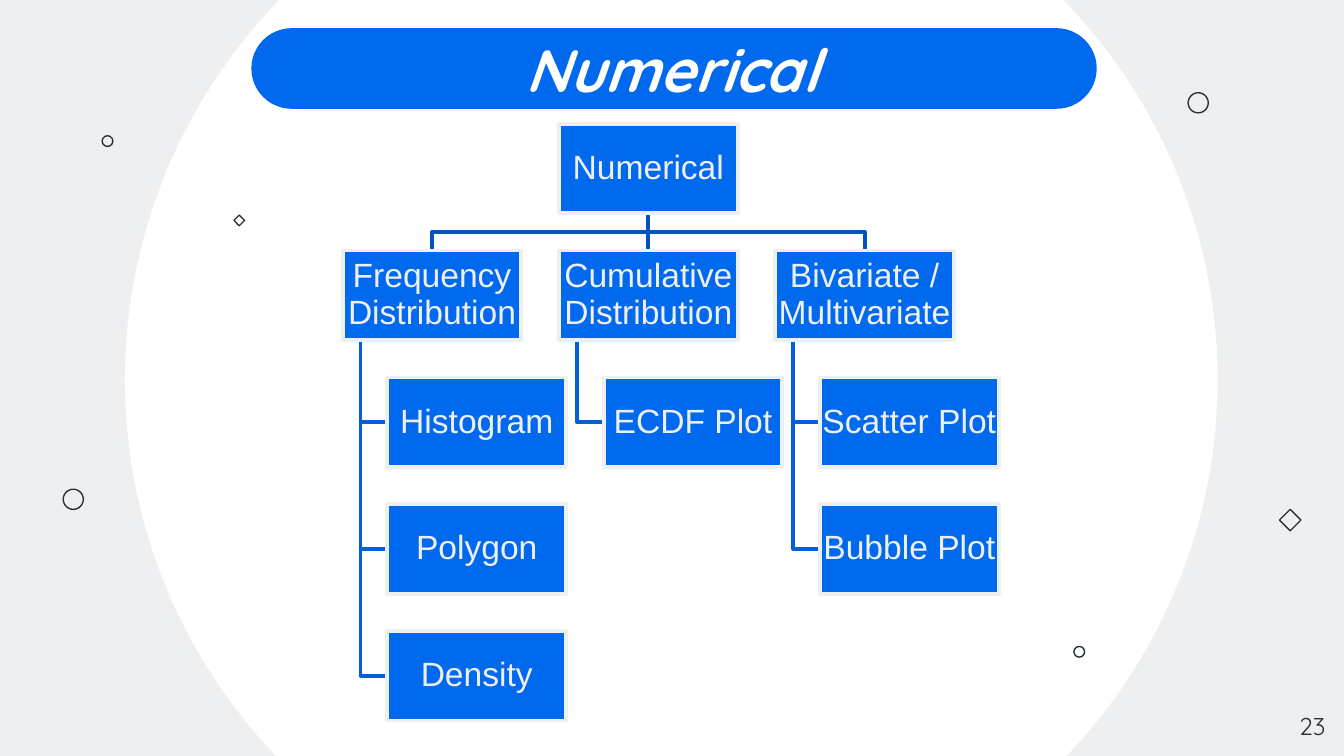
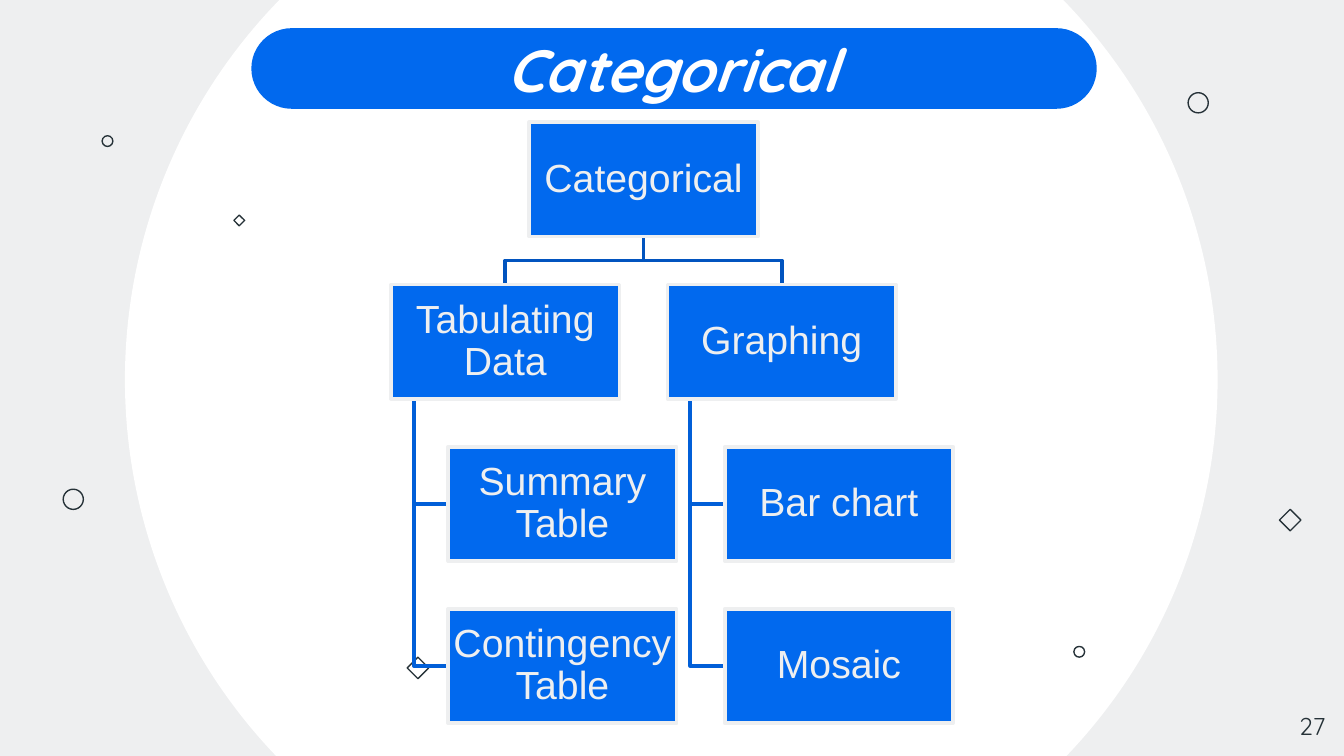
from dataclasses import dataclass

from lxml import etree
from pptx import Presentation
from pptx.dml.color import RGBColor
from pptx.enum.shapes import MSO_CONNECTOR, MSO_SHAPE
from pptx.enum.text import MSO_ANCHOR, PP_ALIGN
from pptx.oxml.ns import qn
from pptx.util import Inches, Pt

OVAL = MSO_SHAPE.OVAL
DIAMOND = MSO_SHAPE.DIAMOND
PILL = MSO_SHAPE.ROUNDED_RECTANGLE
RECT = MSO_SHAPE.RECTANGLE
STRAIGHT = MSO_CONNECTOR.STRAIGHT
MIDDLE, TOP = MSO_ANCHOR.MIDDLE, MSO_ANCHOR.TOP
CENTER, RIGHT = PP_ALIGN.CENTER, PP_ALIGN.RIGHT


@dataclass(frozen=True)
class Theme:
    pale: str = "EEEFF0"
    white: str = "FFFFFF"
    blue: str = "0169EE"
    fork: str = "0154BF"
    twig: str = "015FD8"
    ink: str = "263238"
    head: str = "Quicksand"
    body: str = "Arial"
    title: int = 32
    page: int = 13
    rule: float = 2
    thin: float = 0.75


THEME = Theme()

# Kind, left, top, size
MARKS = [
    (OVAL, 7.99, 4.81, 0.08),
    (DIAMOND, 9.52, 3.79, 0.16),
    (DIAMOND, 1.74, 1.6, 0.08),
    (OVAL, 0.76, 1.01, 0.08),
    (OVAL, 0.47, 3.64, 0.15),
    (OVAL, 8.84, 0.69, 0.15),
]
LOW_MARK = (DIAMOND, 3.03, 4.89, 0.16)

NUMBERS = {
    "Frequency Distribution": ["Histogram", "Polygon", "Density"],
    "Cumulative Distribution": ["ECDF Plot"],
    "Bivariate / Multivariate": ["Scatter Plot", "Bubble Plot"],
}
GROUPS = {
    "Tabulating Data": ["Summary Table", "Contingency Table"],
    "Graphing": ["Bar chart", "Mosaic"],
}


def color(code):
    return RGBColor.from_string(code)


def stroke(item, code, width):
    item.line.color.rgb = color(code)
    item.line.width = Pt(width)


def shape(slide, kind, box, fill=None, line=None, width=THEME.thin):
    item = slide.shapes.add_shape(kind, *map(Inches, box))
    item.shadow.inherit = False
    if fill:
        item.fill.solid()
        item.fill.fore_color.rgb = color(fill)
    else:
        item.fill.background()
    if line:
        stroke(item, line, width)
    else:
        item.line.fill.background()
    return item


def write(item, text, font, size, code, align=CENTER, anchor=MIDDLE,
          inset=0.1, space=1.0, strong=False):
    """Fill a shape or text box with one styled run."""
    frame = item.text_frame
    frame.word_wrap = True
    frame.vertical_anchor = anchor
    frame.margin_left = frame.margin_right = Inches(inset)
    frame.margin_top = frame.margin_bottom = Inches(inset)
    para = frame.paragraphs[0]
    para.alignment = align
    para.line_spacing = space
    run = para.add_run()
    run.text = text
    run.font.name = font
    run.font.size = Pt(size)
    run.font.color.rgb = color(code)
    if strong:
        run.font.bold = run.font.italic = True


def label(slide, box, text, size, code, **style):
    item = slide.shapes.add_textbox(*map(Inches, box))
    write(item, text, THEME.head, size, code, **style)


def link(slide, points, code):
    """Join points with a straight connector or a bent open path."""
    spots = [(Inches(x), Inches(y)) for x, y in points]
    if len(spots) == 2:
        item = slide.shapes.add_connector(STRAIGHT, *spots[0], *spots[1])
        etree.SubElement(item._element.spPr, qn("a:effectLst"))
    else:
        path = slide.shapes.build_freeform(*spots[0])
        path.add_line_segments(spots[1:], close=False)
        item = path.convert_to_shape()
        item.shadow.inherit = False
        item.fill.background()
    stroke(item, code, THEME.rule)


def node(slide, text, left, top, wide, size):
    item = shape(slide, RECT, (left, top, wide, wide / 2),
                 THEME.blue, THEME.pale, THEME.rule)
    write(item, text, THEME.body, size, THEME.pale, inset=0.01, space=0.9)


def tree(slide, root, groups, left, top, wide, size):
    """Draw a root, a row of groups and a hanging list under each group.

    All gaps are fixed shares of the box width.
    """
    high, step, drop = wide / 2, wide * 1.21, wide * 0.71
    start = left + step * (len(groups) - 1) / 2
    mid, base = start + wide / 2, top + high
    row = top + drop
    bend = (base + row) / 2
    nodes = [(root, start, top)]
    for col, (name, leaves) in enumerate(groups.items()):
        x = left + col * step
        end = x + wide / 2
        nodes.append((name, x, row))
        if abs(end - mid) < 0.01:
            points = [(mid, base), (mid, row)]
        else:
            points = [(mid, base), (mid, bend), (end, bend), (end, row)]
        link(slide, points, THEME.fork)
        stem, edge = x + wide * 0.1, x + wide * 0.25
        for rank, leaf in enumerate(leaves, 1):
            y = row + rank * drop
            nodes.append((leaf, edge, y))
            turn = y + high / 2
            link(slide, [(stem, row + high), (stem, turn), (edge, turn)],
                 THEME.twig)
    for text, x, y in nodes:
        node(slide, text, x, y, wide, size)


def page(deck, title, number, marks):
    """Add a slide with backdrop, page number and title band."""
    slide = deck.slides.add_slide(deck.slide_layouts[6])
    back = slide.background.fill
    back.solid()
    back.fore_color.rgb = color(THEME.pale)
    shape(slide, OVAL, (0.93, -1.23, 8.13, 8.11), THEME.white)
    for kind, left, top, size in marks:
        shape(slide, kind, (left, top, size, size), line=THEME.ink)
    label(slide, (9.36, 5.19, 0.6, 0.43), str(number), THEME.page, THEME.ink,
          align=RIGHT, anchor=TOP)
    band = shape(slide, PILL, (1.87, 0.21, 6.29, 0.6), THEME.blue)
    band.adjustments[0] = 0.5
    label(slide, (2.52, 0.25, 4.96, 0.52), title, THEME.title, THEME.white,
          strong=True)
    return slide


def main():
    deck = Presentation()
    deck.slide_width = Inches(10)
    deck.slide_height = deck.slide_width * 9 // 16
    slide = page(deck, "Numerical", 23, MARKS)
    tree(slide, "Numerical", NUMBERS, 2.55, 0.92, 1.33, 18)
    slide = page(deck, "Categorical", 27, MARKS + [LOW_MARK])
    tree(slide, "Categorical", GROUPS, 2.91, 0.91, 1.7, 21)
    deck.save("out.pptx")


if __name__ == "__main__":
    main()
